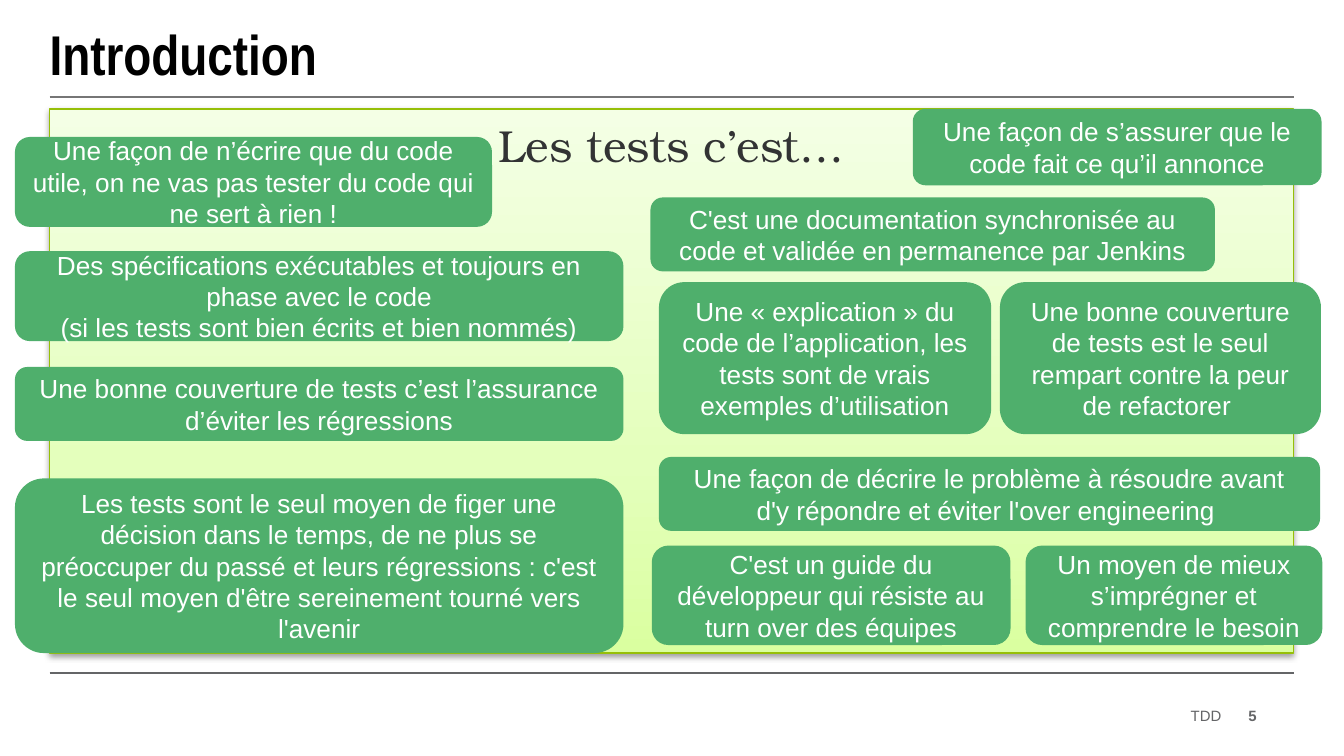
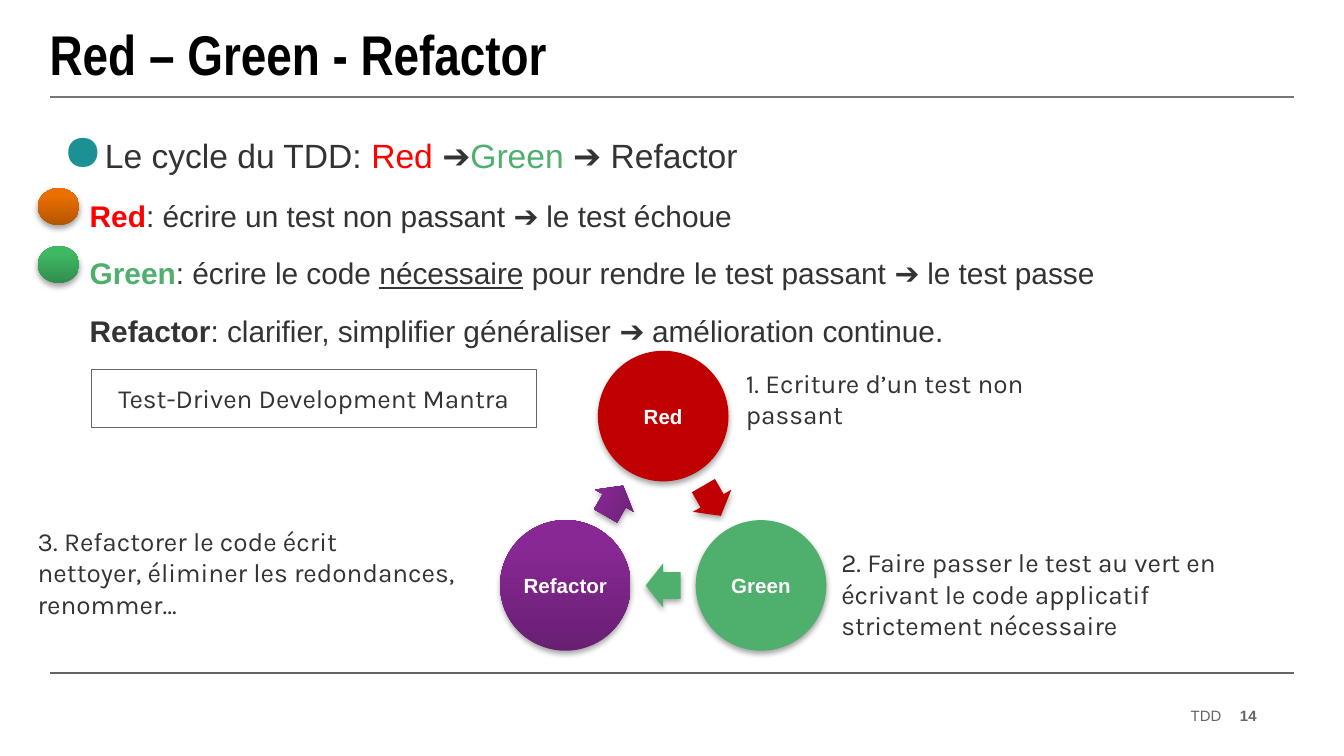
import copy
import math
import pptx
import pptx.util
import pptx.dml.color
import pptx.enum.shapes
import pptx.enum.text
import pptx.oxml.ns
from lxml import etree

Pt = pptx.util.Pt
RGB = pptx.dml.color.RGBColor
FORM = pptx.enum.shapes.MSO_SHAPE
LINK = pptx.enum.shapes.MSO_CONNECTOR
ALIGN = pptx.enum.text.PP_ALIGN
ANCHOR = pptx.enum.text.MSO_ANCHOR
qn = pptx.oxml.ns.qn

BLACK = RGB(0x00, 0x00, 0x00)
WHITE = RGB(0xFF, 0xFF, 0xFF)
INK = RGB(0x32, 0x33, 0x34)
GREY = RGB(0x64, 0x65, 0x67)
RULE = RGB(0x76, 0x76, 0x76)
GREEN = RGB(0x4F, 0xAF, 0x6C)
RED = RGB(0xFF, 0x00, 0x00)
BRICK = RGB(0xC0, 0x00, 0x00)
LIME = RGB(0x96, 0xBF, 0x08)
TEAL = "1B9195"

# Gradients run from bottom to top: (position, colour)
PALE = [(0, RGB(0xDA, 0xFF, 0xA0)), (0.35, RGB(0xE4, 0xFF, 0xBC)),
        (1, RGB(0xF4, 0xFF, 0xE5))]
LEAF = [(0, RGB(0x30, 0x8D, 0x4C)), (0.8, RGB(0x3F, 0xB8, 0x63)),
        (1, RGB(0x3D, 0xBB, 0x63))]
AMBER = [(0, RGB(0xB4, 0x55, 0x00)), (0.8, RGB(0xEA, 0x6E, 0x00)),
         (1, RGB(0xEB, 0x6F, 0x00))]
PLUM = [(0, RGB(0x68, 0x1F, 0x72)), (0.8, RGB(0x88, 0x28, 0x94)),
        (1, RGB(0x8A, 0x26, 0x97))]

LEFT, WIDE = 26.6, 666.4
FOOT = "TDD"

CLAIMS = [
    ((8, 134.6, 326, 48.2), "Des spécifications exécutables et toujours en phase avec le code\v"
                            "(si les tests sont bien écrits et bien nommés)"),
    ((489, 58.3, 219, 41), "Une façon de s’assurer que le code fait ce qu’il annonce"),
    ((8, 196.6, 326, 39.6), "Une bonne couverture de tests c’est l’assurance d’éviter les régressions"),
    ((353, 151.2, 178, 81.4), "Une « explication » du code de l’application, les tests sont de vrais "
                              "exemples d’utilisation"),
    ((8, 73.4, 255.6, 48.2), "Une façon de n’écrire que du code utile, on ne vas pas tester du code "
                             "qui ne sert à rien !"),
    ((348.5, 105.8, 302.4, 39.6), "C'est une documentation synchronisée au code et validée en "
                                  "permanence par Jenkins"),
    ((349.2, 292.3, 192.2, 53.3), "C'est un guide du développeur qui résiste au turn over des équipes"),
    ((535.7, 151.2, 172, 81.4), "Une bonne couverture de tests est le seul rempart contre la peur de "
                                "refactorer "),
    ((353, 244.8, 354.2, 39.6), "Une façon de décrire le problème à résoudre avant d'y répondre et "
                                "éviter l'over engineering "),
    ((549.4, 292.3, 159, 53.3), "Un moyen de mieux s’imprégner et comprendre le besoin"),
    ((8, 256.3, 326, 93.6), "Les tests sont le seul moyen de figer une décision dans le temps, de ne "
                            "plus se préoccuper du passé et leurs régressions : c'est le seul moyen "
                            "d'être sereinement tourné vers l'avenir"),
]

# Paragraphs of runs: (text, colour, bold, underline)
CYCLE = [
    [("Le cycle du TDD: ", INK, False, False), ("Red ", RED, False, False),
     ("➔", INK, False, False), ("Green", GREEN, False, False),
     (" ➔ Refactor", INK, False, False)],
    [("Red", RED, True, False),
     (": écrire un test non passant ➔ le test échoue", INK, False, False)],
    [("Green", GREEN, True, False), (": écrire le code ", INK, False, False),
     ("nécessaire", INK, False, True),
     (" pour rendre le test passant ➔ le test passe", INK, False, False)],
    [("Refactor", INK, True, False),
     (": clarifier, simplifier généraliser ➔ amélioration continue.", INK, False, False)],
]
LAMPS = [(131.8, LEAF), (100.8, AMBER)]
STEPS = [("Red", BRICK), ("Green", GREEN), ("Refactor", PLUM)]
HUB, RING, DISC = (355.3, 283.4), 60.5, 70
ARROW = (18.7, 23.8)
NOTES = [
    ((399.6, 196.6, 158.4, 34), "1. Ecriture d’un test non passant"),
    ((450.7, 293, 238.3, 62.6), "2. Faire passer le test au vert en écrivant le code applicatif "
                                "strictement nécessaire"),
    ((20.2, 281.5, 238.3, 62.6), "3. Refactorer le code écrit\vnettoyer, éliminer les redondances, "
                                 "renommer…"),
]
MANTRA = ((49, 198, 238.3, 31), "Test-Driven Development Mantra")


def shade(part, alpha, dist):
    """Drop a soft black shadow straight down."""
    fx = part.element.spPr.find(qn("a:effectLst"))
    drop = etree.SubElement(fx, qn("a:outerShdw"), blurRad=str(Pt(3.1)),
                            dist=str(Pt(dist)), dir="5400000", rotWithShape="0")
    tone = etree.SubElement(drop, qn("a:srgbClr"), val="000000")
    etree.SubElement(tone, qn("a:alpha"), val=str(alpha * 1000))


def paint(part, fill):
    """Fill with a colour, a list of gradient stops, or nothing."""
    if fill is None:
        part.fill.background()
    elif isinstance(fill, list):
        part.fill.gradient()
        part.fill.gradient_angle = 90
        stops = part.element.spPr.find(".//" + qn("a:gsLst"))
        stops.append(copy.deepcopy(stops[0]))
        for stop, (place, tone) in zip(part.fill.gradient_stops, fill):
            stop.position = place
            stop.color.rgb = tone
    else:
        part.fill.solid()
        part.fill.fore_color.rgb = fill


def shape(shapes, form, at, fill=None, line=None):
    part = shapes.add_shape(form, *map(Pt, at))
    part.shadow.inherit = False
    paint(part, fill)
    if line is None:
        part.line.fill.background()
    else:
        part.line.color.rgb = line
        part.line.width = Pt(0.75)
    return part


def style(run, size, font, tone, bold=False):
    run.font.size = Pt(size)
    run.font.name = font
    run.font.color.rgb = tone
    run.font.bold = bold


def write(part, text, size, font="Arial", tone=INK, bold=False,
          align=ALIGN.LEFT, anchor=ANCHOR.MIDDLE, pad=0):
    frame = part.text_frame
    frame.word_wrap = True
    frame.vertical_anchor = anchor
    frame.margin_left = frame.margin_right = Pt(pad)
    frame.margin_top = frame.margin_bottom = Pt(pad)
    frame.text = text
    for para in frame.paragraphs:
        para.alignment = align
        for run in para.runs:
            style(run, size, font, tone, bold)
    return frame


def label(page, at, text, size, **look):
    return write(page.shapes.add_textbox(*map(Pt, at)), text, size, **look)


def start(deck, title, number):
    """Add a page with the title, both rules and the footer."""
    page = deck.slides.add_slide(deck.slide_layouts[6])
    for y, tone in ((360.7, GREY), (51.8, RULE)):
        rule = page.shapes.add_connector(LINK.STRAIGHT, Pt(LEFT), Pt(y), Pt(LEFT + WIDE), Pt(y))
        rule.line.color.rgb = tone
        rule.line.width = Pt(1)
        etree.SubElement(rule.element.spPr, qn("a:effectLst"))
    label(page, (LEFT, 6.5, WIDE, 44), title, 30, font="Arial Narrow", tone=BLACK, bold=True)
    for x, wide, text, bold in ((496, 158.4, FOOT, False), (658.8, 14.4, number, True)):
        label(page, (x, 378, wide, 10.8), text, 8, tone=GREY, bold=bold, align=ALIGN.RIGHT)
    return page


def intro(deck):
    page = start(deck, "Introduction", "5")
    panel = shape(page.shapes, FORM.RECTANGLE, (LEFT, 58.3, WIDE, 291.6), PALE, LIME)
    shade(panel, 38, 1.6)
    write(panel, "Les tests c’est…", 24, font="TeX Gyre Bonum", align=ALIGN.CENTER,
          anchor=ANCHOR.TOP, pad=5)
    for at, text in CLAIMS:
        claim = shape(page.shapes, FORM.ROUNDED_RECTANGLE, at, GREEN)
        write(claim, text, 14, tone=WHITE, align=ALIGN.CENTER, pad=7.2)


def bullet(para):
    prop = para._p.get_or_add_pPr()
    prop.set("marL", str(Pt(22.5)))
    prop.set("indent", str(-Pt(22.5)))
    tone = etree.SubElement(prop, qn("a:buClr"))
    etree.SubElement(tone, qn("a:srgbClr"), val=TEAL)
    etree.SubElement(prop, qn("a:buSzPct"), val="150000")
    etree.SubElement(prop, qn("a:buChar"), char="●")


def rules(page):
    """Write the list that explains the cycle."""
    frame = page.shapes.add_textbox(Pt(LEFT), Pt(69), Pt(WIDE), Pt(280)).text_frame
    frame.word_wrap = True
    for i, runs in enumerate(CYCLE):
        para = frame.add_paragraph() if i else frame.paragraphs[0]
        if i:
            para.level = 1
            para._p.get_or_add_pPr().set("marL", str(Pt(14.4)))
            para._p.get_or_add_pPr().set("indent", "0")
            para.line_spacing = 1.5
            para.space_before = Pt(2)
        else:
            bullet(para)
        for text, tone, bold, under in runs:
            run = para.add_run()
            run.text = text
            style(run, 16 if i else 18, "Arial", tone, bold)
            run.font.underline = under


def spot(angle, reach, wide, high):
    """Box centred at a clockwise angle from the top of the ring."""
    turn = math.radians(angle)
    x = HUB[0] + reach * math.sin(turn)
    y = HUB[1] - reach * math.cos(turn)
    return x - wide / 2, y - high / 2, wide, high


def wheel(page):
    group = page.shapes.add_group_shape().shapes
    for i, (name, fill) in enumerate(STEPS):
        angle = 120 * i
        disc = shape(group, FORM.OVAL, spot(angle, RING, DISC, DISC), fill)
        write(disc, name, 11, tone=WHITE, bold=True, align=ALIGN.CENTER, pad=1.44)
        arrow = shape(group, FORM.RIGHT_ARROW, spot(angle + 60, RING / 2, *ARROW), fill)
        arrow.adjustments[0] = 0.6
        arrow.adjustments[1] = 0.5
        arrow.rotation = angle + 60
        for part in (disc, arrow):
            shade(part, 35, 1.8)


def cycle(deck):
    page = start(deck, "Red – Green - Refactor", "14")
    rules(page)
    for y, fill in LAMPS:
        shade(shape(page.shapes, FORM.OVAL, (20.2, y, 22.3, 20), fill), 35, 1.8)
    wheel(page)
    for at, text in NOTES:
        label(page, at, text, 14, font="Karla", anchor=ANCHOR.TOP)
    at, text = MANTRA
    write(shape(page.shapes, FORM.RECTANGLE, at, line=GREY), text, 14, font="Karla",
          align=ALIGN.CENTER)


deck = pptx.Presentation()
deck.slide_width, deck.slide_height = Pt(720), Pt(405)
intro(deck)
cycle(deck)
deck.save("out.pptx")
